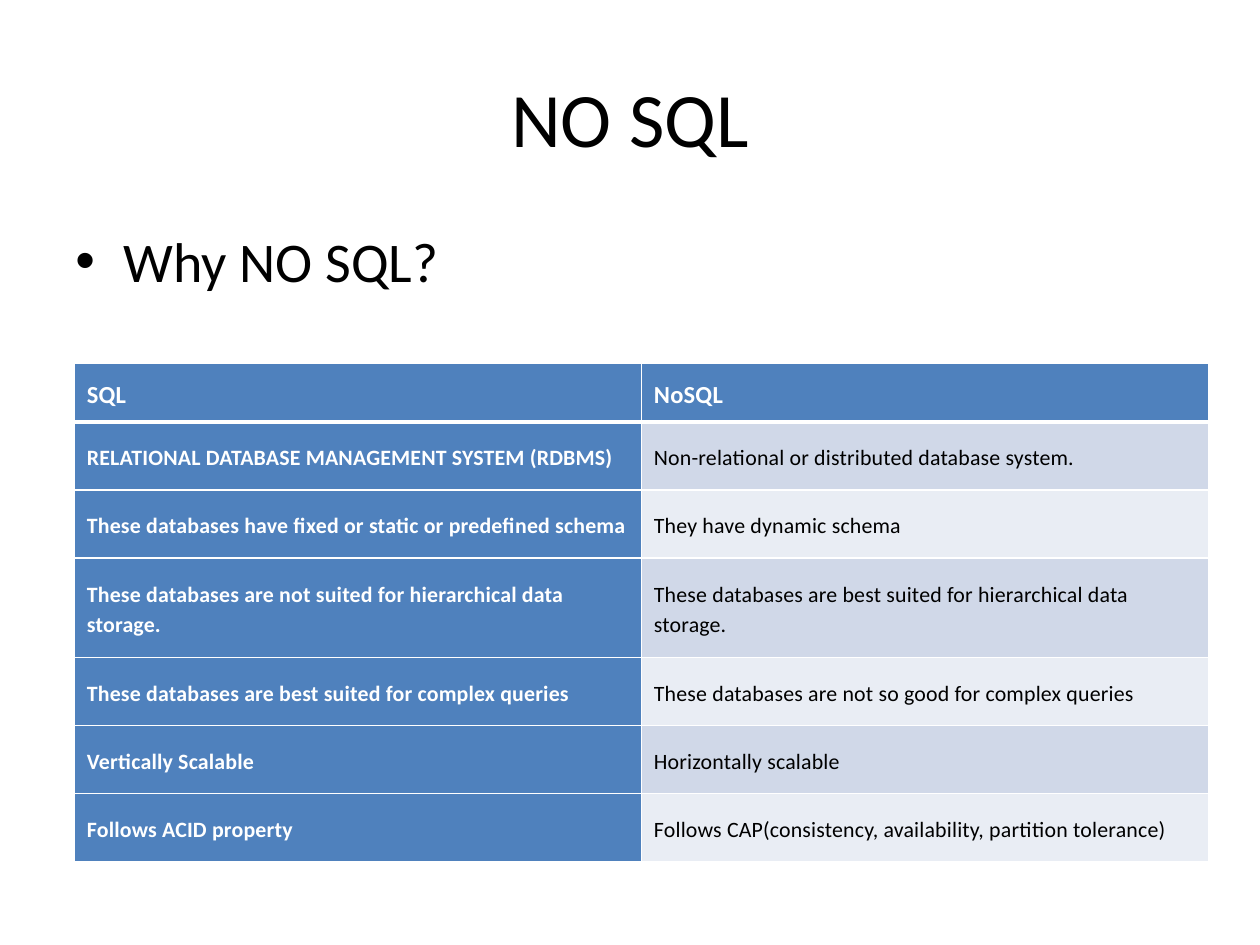
import pptx
import pptx.util
import pptx.dml.color
import pptx.enum.text
import pptx.oxml
import pptx.oxml.ns

Inches, Pt = pptx.util.Inches, pptx.util.Pt
Align, Anchor = pptx.enum.text.PP_ALIGN, pptx.enum.text.MSO_ANCHOR
WHITE, BLACK, BLUE = "FFFFFF", "000000", "4F81BD"
BANDS = ["D0D8E8", "E9EDF4"]


def color(value):
    return pptx.dml.color.RGBColor.from_string(value)


def write(frame, text, size, fill=BLACK, bold=False, align=Align.LEFT, line=1.0, before=0, spacing=0):
    para = frame.paragraphs[0]
    para.alignment, para.line_spacing, para.space_before = align, line, Pt(before)
    span = para.add_run()
    span.text = text
    span.font.name, span.font.size, span.font.bold = "Calibri", Pt(size), bold
    span.font.color.rgb = color(fill)
    if spacing:
        span.font._element.set("spc", str(spacing))
    return para


deck = pptx.Presentation()
deck.slide_width, deck.slide_height = Inches(10), Inches(7.5)
page = deck.slides.add_slide(deck.slide_layouts[5])
page.background.fill.solid()
page.background.fill.fore_color.rgb = color(WHITE)

# Title
title = page.shapes.title
title.left, title.top, title.width, title.height = Inches(0.5), Inches(0.3), Inches(9), Inches(1.25)
title.text_frame.vertical_anchor = Anchor.MIDDLE
write(title.text_frame, "NO SQL", 44, align=Align.CENTER)

# Bulleted question
box = page.shapes.add_textbox(Inches(0.5), Inches(1.75), Inches(9), Inches(0.8))
box.text_frame.word_wrap = True
para = write(box.text_frame, "Why NO SQL?", 32, before=6.4)
properties = para._p.get_or_add_pPr()
properties.set("marL", str(Inches(0.38)))
properties.set("indent", str(Inches(-0.38)))
namespace = pptx.oxml.ns.nsdecls("a")
properties.append(pptx.oxml.parse_xml(f'<a:buFont {namespace} typeface="Arial"/>'))
properties.append(pptx.oxml.parse_xml(f'<a:buChar {namespace} char="•"/>'))

# Comparison table
rows = [
    ("SQL", "NoSQL"),
    ("RELATIONAL DATABASE MANAGEMENT SYSTEM (RDBMS)", "Non-relational or distributed database system."),
    ("These databases have fixed or static or predefined schema", "They have dynamic schema"),
    ("These databases are not suited for hierarchical data storage.",
     "These databases are best suited for hierarchical data storage."),
    ("These databases are best suited for complex queries", "These databases are not so good for complex queries"),
    ("Vertically Scalable", "Horizontally scalable"),
    ("Follows ACID property", "Follows CAP(consistency, availability, partition tolerance)"),
]
heights = [0.47, 0.53, 0.53, 0.79, 0.53, 0.53, 0.53]
table = page.shapes.add_table(len(rows), 2, Inches(0.59), Inches(2.88), Inches(9), Inches(sum(heights))).table
table.first_col = True
for row, (texts, height) in enumerate(zip(rows, heights)):
    table.rows[row].height = Inches(height)
    header = row == 0
    for column, text in enumerate(texts):
        cell = table.cell(row, column)
        strong = header or column == 0
        cell.vertical_anchor = Anchor.BOTTOM
        cell.margin_left = cell.margin_right = Inches(0.1)
        cell.margin_top = cell.margin_bottom = Inches(0.1 if header else 0.15)
        write(cell.text_frame, text, 14 if header else 12.5, fill=WHITE if strong else BLACK,
              bold=strong, line=1.15, spacing=10)
        cell.fill.solid()
        cell.fill.fore_color.rgb = color(BLUE if strong else BANDS[(row - 1) % 2])
        # White borders, with a thick rule under the header
        for index, side in enumerate("LRTB"):
            thick = (header and side == "B") or (row == 1 and side == "T")
            border = pptx.oxml.parse_xml(
                f'<a:ln{side} {namespace} w="{Pt(3 if thick else 1)}"><a:solidFill>'
                f'<a:srgbClr val="{WHITE}"/></a:solidFill></a:ln{side}>')
            cell._tc.get_or_add_tcPr().insert(index, border)

deck.save("out.pptx")
